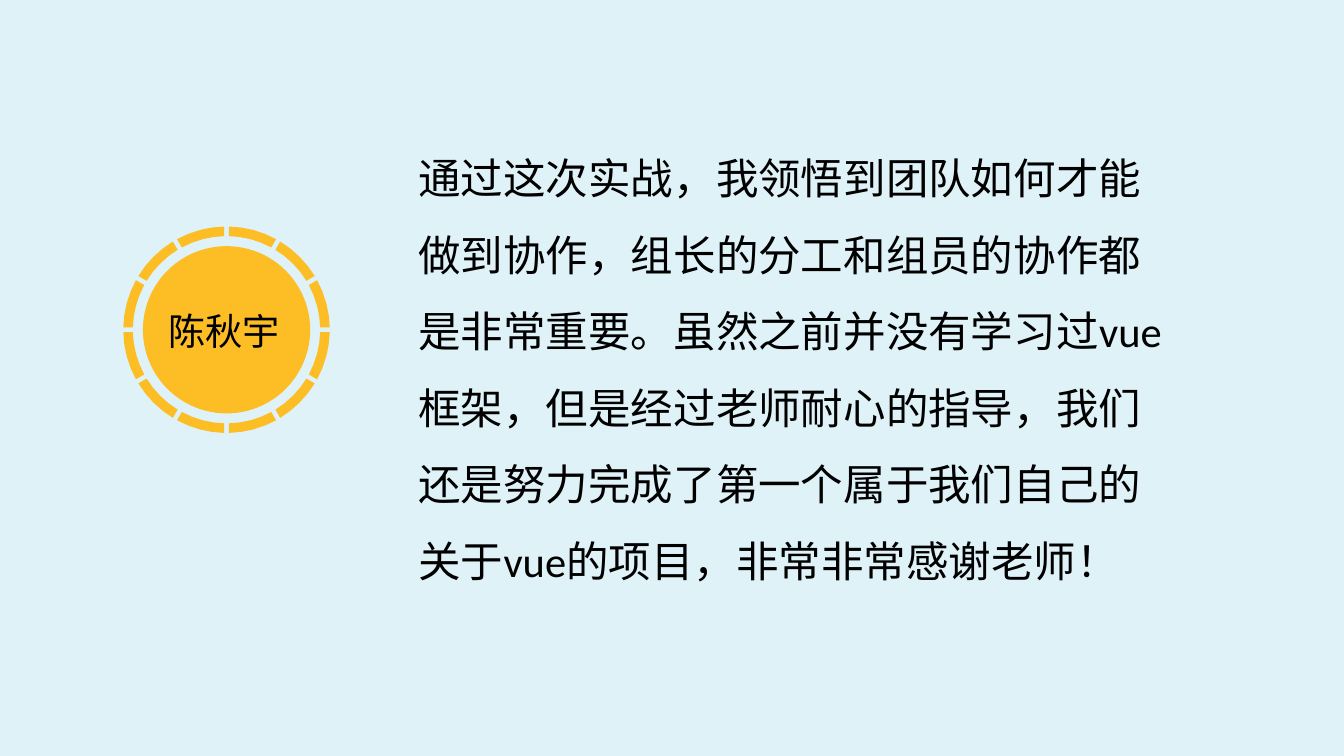
from copy import deepcopy
from math import asin, cos, pi, sin

from pptx import Presentation
from pptx.dml.color import RGBColor
from pptx.enum.shapes import MSO_SHAPE
from pptx.util import Inches, Pt

NAME = "陈秋宇"
REFLECTION = (
    "通过这次实战，我领悟到团队如何才能做到协作，组长的分工和组员的协作都是非常重要。"
    "虽然之前并没有学习过vue框架，但是经过老师耐心的指导，"
    "我们还是努力完成了第一个属于我们自己的关于vue的项目，非常非常感谢老师！"
)

PALE_BLUE = RGBColor(0xDF, 0xF2, 0xF8)
AMBER = RGBColor(0xFD, 0xBD, 0x24)
BLACK = RGBColor(0, 0, 0)
BACKDROP = [
    (0, RGBColor(0xF4, 0xF4, 0xF4)),
    (0.35, RGBColor(0xD4, 0xD4, 0xD4)),
    (1, RGBColor(0xBA, 0xBB, 0xBB)),
]
FONT = "Calibri"
OVAL, RECTANGLE = MSO_SHAPE.OVAL, MSO_SHAPE.RECTANGLE

# Slide and badge geometry, in inches
SLIDE_WIDTH, SLIDE_HEIGHT = 14.06, 7.91
CENTER_X, CENTER_Y = 2.37, 3.45
DISC_RADIUS = 0.875
RING_INNER, RING_OUTER = 0.98, 1.08
DASHES = 12
HALF_GAP = 0.025
ARC_STEPS = 4


def paint(shape, color):
    shape.fill.solid()
    shape.fill.fore_color.rgb = color
    shape.line.fill.background()
    shape.shadow.inherit = False


def add_filled(slide, preset, left, top, width, height, color):
    shape = slide.shapes.add_shape(
        preset, Inches(left), Inches(top), Inches(width), Inches(height))
    paint(shape, color)


def set_backdrop(slide):
    fill = slide.background.fill
    fill.gradient()
    fill.gradient_angle = 315  # counter-clockwise, so 45 degrees clockwise
    stop_list = fill._fill._gradFill.gsLst
    stop_list.append(deepcopy(stop_list[-1]))
    for stop, (position, color) in zip(fill.gradient_stops, BACKDROP):
        stop.position = position
        stop.color.rgb = color


def arc(radius, dash):
    """Points along one dash, leaving an equally wide gap at both ends."""
    sector = 2 * pi / DASHES
    trim = asin(HALF_GAP / radius)
    step = (sector - 2 * trim) / ARC_STEPS
    angles = [dash * sector + trim + i * step for i in range(ARC_STEPS + 1)]
    return [(Inches(CENTER_X + radius * cos(a)), Inches(CENTER_Y + radius * sin(a)))
            for a in angles]


def add_text(slide, text, left, top, width, height, size):
    box = slide.shapes.add_textbox(Inches(left), Inches(top), Inches(width), Inches(height))
    box.text_frame.word_wrap = True
    paragraph = box.text_frame.paragraphs[0]
    run = paragraph.add_run()
    run.text = text
    run.font.size = Pt(size)
    run.font.name = FONT
    run.font.color.rgb = BLACK
    return paragraph


def main():
    prs = Presentation()
    prs.slide_width, prs.slide_height = Inches(SLIDE_WIDTH), Inches(SLIDE_HEIGHT)
    slide = prs.slides.add_slide(prs.slide_layouts[6])

    # Backdrop and the pale panel over it
    set_backdrop(slide)
    add_filled(slide, RECTANGLE, 0, 0, SLIDE_WIDTH, SLIDE_HEIGHT, PALE_BLUE)

    # Disc
    add_filled(slide, OVAL, CENTER_X - DISC_RADIUS, CENTER_Y - DISC_RADIUS,
               2 * DISC_RADIUS, 2 * DISC_RADIUS, AMBER)

    # Dashed ring
    ring = slide.shapes.add_group_shape()
    for dash in range(DASHES):
        outline = arc(RING_OUTER, dash) + arc(RING_INNER, dash)[::-1]
        builder = ring.shapes.build_freeform(*outline[0])
        builder.add_line_segments(outline[1:], close=True)
        paint(builder.convert_to_shape(), AMBER)

    # Reflection and name
    reflection = add_text(slide, REFLECTION, 4.28, 1.28, 8.03, 5.3, 32)
    reflection.line_spacing = 1.5
    reflection.space_after = Pt(6)
    add_text(slide, NAME, 1.66, 3.18, 1.79, 0.57, 28)

    prs.save("out.pptx")


if __name__ == "__main__":
    main()
